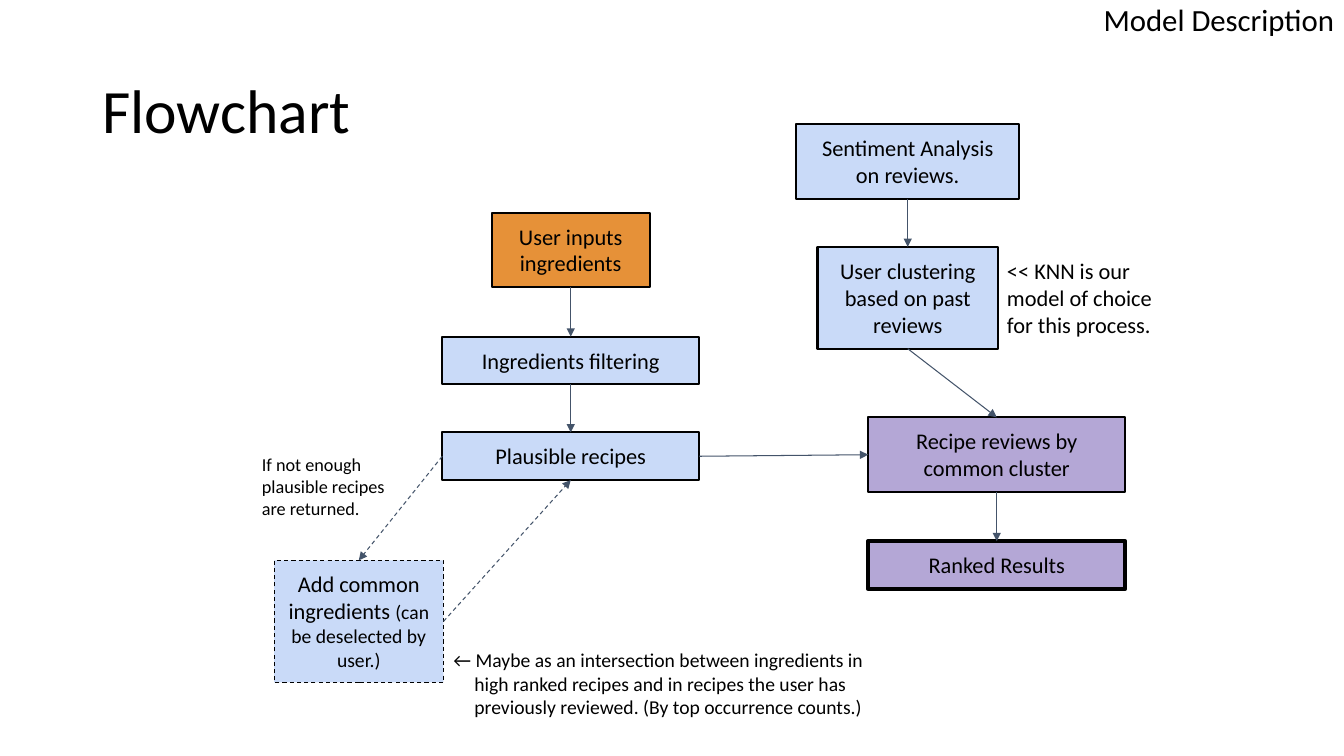
from lxml import etree
from pptx import Presentation
from pptx import util as u
from pptx.dml.color import RGBColor
from pptx.enum import dml, shapes, text
from pptx.oxml.ns import qn

TOP, LEFT, BOTTOM, RIGHT = range(4)
BLUE, ORANGE, PURPLE = "C9DAF8", "E69138", "B4A7D6"
BLACK, SLATE = "000000", "44546A"
CENTER, END = text.PP_ALIGN.CENTER, text.PP_ALIGN.RIGHT


def rgb(value):
    return RGBColor.from_string(value)


class Flow:
    """Holds the style and the slide being drawn."""
    font = "Calibri"

    def __init__(self, slide):
        self.s = slide

    def fill_text(self, sp, paragraphs, align=None, pad=7.2, anchor=text.MSO_ANCHOR.TOP,
                  spacing=None, hang=0):
        """Each paragraph is a list of (text, size) runs."""
        tf = sp.text_frame
        frame = dict(word_wrap=True, vertical_anchor=anchor,
                     margin_left=u.Pt(7.2), margin_right=u.Pt(7.2),
                     margin_top=u.Pt(pad), margin_bottom=u.Pt(pad))
        for name, value in frame.items():
            setattr(tf, name, value)
        for i, runs in enumerate(paragraphs):
            p = tf.add_paragraph() if i else tf.paragraphs[0]
            p.alignment, p.line_spacing = align, spacing
            if hang:
                pPr = p._p.get_or_add_pPr()
                pPr.set("marL", str(u.Pt(hang)))
                pPr.set("indent", str(-u.Pt(hang)))
            for words, size in runs:
                r = p.add_run()
                r.text = words
                for name, value in dict(name=self.font, size=u.Pt(size)).items():
                    setattr(r.font, name, value)
                r.font.color.rgb = rgb(BLACK)

    def label(self, x, y, w, h, words, size, **fmt):
        sp = self.s.shapes.add_textbox(*map(u.Pt, (x, y, w, h)))
        self.fill_text(sp, [[(words, size)]], **fmt)

    def stroke(self, line, color, width, dashed):
        line.color.rgb = rgb(color)
        line.width = u.Pt(width)
        if dashed:
            line.dash_style = dml.MSO_LINE.DASH

    def box(self, cx, y, w, h, fill, paragraphs, width=1.5, dashed=False):
        """A rectangle centred on cx."""
        sp = self.s.shapes.add_shape(shapes.MSO_SHAPE.RECTANGLE,
                                     *map(u.Pt, (cx - w / 2, y, w, h)))
        sp.shadow.inherit = False
        sp.fill.solid()
        sp.fill.fore_color.rgb = rgb(fill)
        self.stroke(sp.line, BLACK, width, dashed)
        self.fill_text(sp, paragraphs, align=CENTER)
        return sp

    def arrow(self, a, a_side, b, b_side, dashed=False):
        c = self.s.shapes.add_connector(shapes.MSO_CONNECTOR.STRAIGHT, 0, 0, 0, 0)
        c.begin_connect(a, a_side)
        c.end_connect(b, b_side)
        self.stroke(c.line, SLATE, 0.75, dashed)
        spPr = c._element.spPr
        etree.SubElement(spPr.find(qn("a:ln")), qn("a:tailEnd"), type="triangle")
        etree.SubElement(spPr, qn("a:effectLst"))


def main():
    prs = Presentation()
    prs.slide_width, prs.slide_height = u.Pt(960), u.Pt(540)
    flow = Flow(prs.slides.add_slide(prs.slide_layouts[6]))

    # Headings
    flow.label(66, 28.8, 828, 104.4, "Flowchart", 44, pad=3.6,
               anchor=text.MSO_ANCHOR.MIDDLE, spacing=0.9)
    flow.label(706, 0, 254, 44.6, "Model Description", 22, pad=3.6,
               align=END, spacing=0.9)

    # Column centres and common box sizes
    input_x, cluster_x, result_x = 407.7, 648.4, 712
    wide, one_line, two_lines = 183.6, 34, 53.4

    # Ingredient steps
    inputs = flow.box(input_x, 151.9, 113, two_lines, ORANGE,
                      [[("User inputs ingredients", 16)]])
    filtering = flow.box(input_x, 240.5, wide, one_line, BLUE,
                         [[("Ingredients filtering", 16)]])
    plausible = flow.box(input_x, 308.9, wide, one_line, BLUE,
                         [[("Plausible recipes", 16)]])
    common = flow.box(256.3, 400.3, 121, 87.1, BLUE,
                      [[("Add common ingredients ", 16),
                        ("(can be deselected by user.)", 14)]],
                      width=0.75, dashed=True)

    # Review steps
    sentiment = flow.box(cluster_x, 88.6, 159.2, two_lines, BLUE,
                         [[("Sentiment Analysis", 16)], [("on reviews.", 16)]])
    clustering = flow.box(cluster_x, 176.4, 129, 72.7, BLUE,
                          [[("User clustering based on past reviews", 16)]])

    # Results
    reviews = flow.box(result_x, 298.1, wide, two_lines, PURPLE,
                       [[("Recipe reviews by common cluster", 16)]])
    ranked = flow.box(result_x, 386.6, wide, one_line, PURPLE,
                      [[("Ranked Results", 16)]], width=3)

    # Arrows
    for a, b in ((inputs, filtering), (filtering, plausible), (sentiment, clustering),
                 (clustering, reviews), (reviews, ranked)):
        flow.arrow(a, BOTTOM, b, TOP)
    flow.arrow(plausible, RIGHT, reviews, LEFT)
    flow.arrow(plausible, LEFT, common, TOP, dashed=True)
    flow.arrow(common, RIGHT, plausible, BOTTOM, dashed=True)

    # Side notes
    flow.label(180, 316.8, 105, 62, "If not enough plausible recipes are returned.", 13)
    flow.label(316.8, 455.8, 316.8, 65.5,
               "← Maybe as an intersection between ingredients in high ranked recipes "
               "and in recipes the user has previously reviewed. "
               "(By top occurrence counts.)", 14, hang=15)
    flow.label(712.2, 176.4, 129, 72.7,
               "<< KNN is our model of choice for this process.", 16)

    prs.save("out.pptx")


if __name__ == "__main__":
    main()
